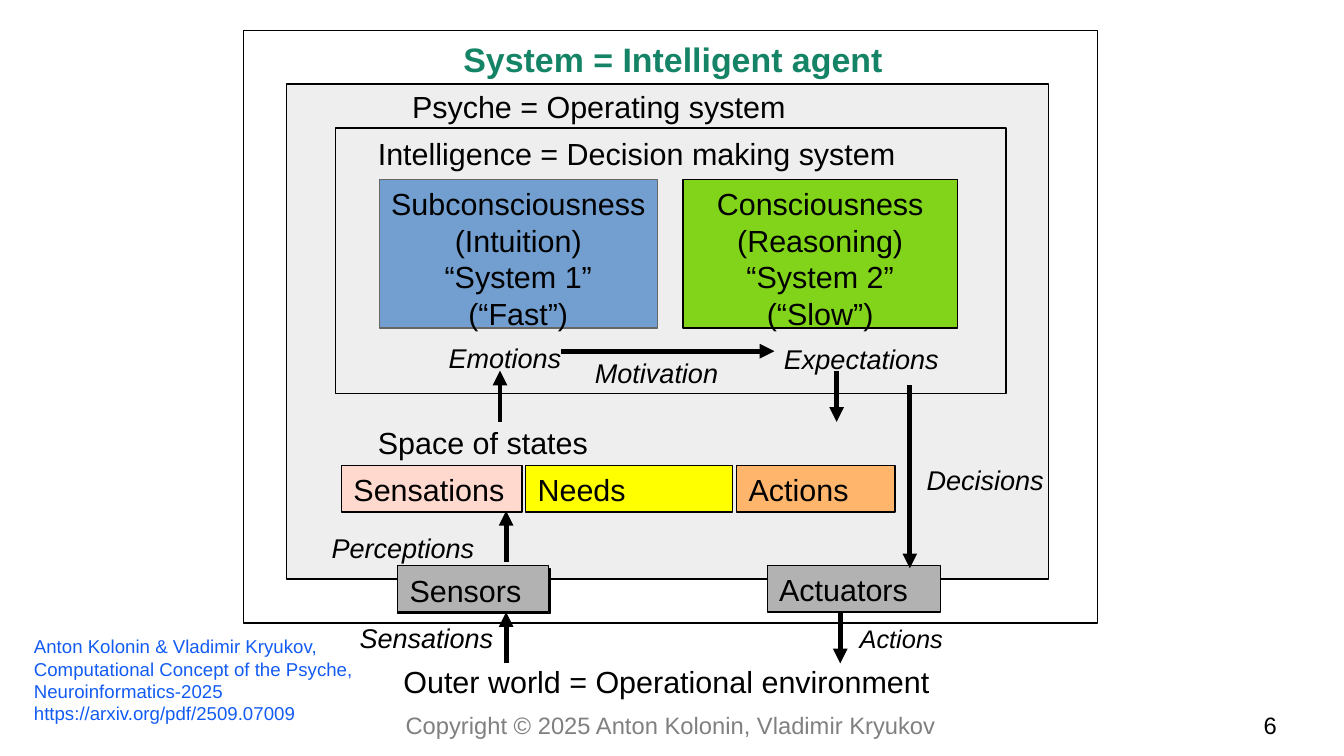
"""Build the slide that shows an intelligent agent as nested systems."""
import pptx
import pptx.dml.color
import pptx.enum.shapes
import pptx.enum.text
import pptx.oxml
import pptx.oxml.ns
import pptx.util

Inches = pptx.util.Inches
Pt = pptx.util.Pt
RGBColor = pptx.dml.color.RGBColor
ALIGN = pptx.enum.text.PP_ALIGN
ANCHOR = pptx.enum.text.MSO_ANCHOR

BLACK = RGBColor(0x00, 0x00, 0x00)
GREEN_TITLE = RGBColor(0x15, 0x84, 0x66)
LINK_BLUE = RGBColor(0x12, 0x5B, 0xF3)
FOOTER_GRAY = RGBColor(0x80, 0x80, 0x80)
EDGE_GRAY = RGBColor(0x66, 0x66, 0x66)
PALE_GRAY = RGBColor(0xEE, 0xEE, 0xEE)
GRAY = RGBColor(0xB2, 0xB2, 0xB2)
BLUE = RGBColor(0x72, 0x9F, 0xCF)
GREEN = RGBColor(0x81, 0xD4, 0x1A)
PINK = RGBColor(0xFF, 0xD8, 0xCE)
YELLOW = RGBColor(0xFF, 0xFF, 0x00)
ORANGE = RGBColor(0xFF, 0xB6, 0x6C)

FONT = "Arial"
STATE_TOP, DEVICE_TOP, ROW_HEIGHT = 3.82, 4.64, 0.38
MIND_TOP, MIND_HEIGHT = 1.47, 1.22
FOOTER_TOP, FOOTER_HEIGHT = 5.83, 0.25

FRAMES = [
    (2, 0.25, 7, 4.86, None),
    (2.35, 0.69, 6.25, 4.06, PALE_GRAY),
    (2.75, 1.05, 5.5, 2.18, None),
    (3.26, 4.66, 1.25, 0.37, None),
]
MINDS = [
    (3.11, 2.28, BLUE, EDGE_GRAY,
     "Subconsciousness\n(Intuition)\n“System 1”\n(“Fast”)"),
    (5.6, 2.25, GREEN, BLACK,
     "Consciousness\n(Reasoning)\n“System 2”\n(“Slow”)"),
]
BLOCKS = [
    (2.8, STATE_TOP, 1.48, PINK, "Sensations", ANCHOR.MIDDLE),
    (4.31, STATE_TOP, 1.7, YELLOW, "Needs", ANCHOR.MIDDLE),
    (6.04, STATE_TOP, 1.3, ORANGE, "Actions", ANCHOR.MIDDLE),
    (3.26, DEVICE_TOP, 1.24, GRAY, "Sensors", ANCHOR.TOP),
    (6.29, DEVICE_TOP, 1.42, GRAY, "Actuators", ANCHOR.MIDDLE),
]
HEADINGS = [
    (3.28, 0.67, 4.19, "Psyche = Operating system"),
    (3, 1.06, 4.96, "Intelligence = Decision making system"),
    (3, 3.43, 4.25, "Space of states"),
    (3.21, 5.39, 4.54, "Outer world = Operational environment"),
]
FLOW_LABELS = [
    (3.58, 2.75, 1.12, 16, "Emotions"),
    (4.78, 2.87, 1.42, 16, "Motivation"),
    (6.33, 2.76, 1.47, 16, "Expectations"),
    (7.5, 3.75, 1.16, 16, "Decisions"),
    (2.62, 4.31, 1.49, 16, "Perceptions"),
    (2.85, 5.05, 1.5, 16, "Sensations"),
    (6.95, 5.06, 1.19, 15, "Actions"),
]
ARROWS = [
    (4.6, 2.88, 6.35, 2.88),
    (4.1, 3.46, 4.1, 3.04),
    (6.86, 3.04, 6.86, 3.46),
    (7.46, 3.16, 7.46, 4.66),
    (4.15, 4.61, 4.15, 4.19),
    (4.15, 5.44, 4.15, 5.02),
    (6.89, 5.02, 6.89, 5.44),
]
CITATION = ("Anton Kolonin & Vladimir Kryukov,\n"
            "Computational Concept of the Psyche,\n"
            "Neuroinformatics-2025\n"
            "https://arxiv.org/pdf/2509.07009")


def write(shape, text, size, color=BLACK, align=ALIGN.LEFT, anchor=ANCHOR.TOP,
          bold=False, italic=False, inset=(0.1, 0.05)):
    """Fill a shape with text in one style."""
    frame = shape.text_frame
    frame.text = text
    frame.word_wrap = True
    frame.auto_size = pptx.enum.text.MSO_AUTO_SIZE.NONE
    frame.vertical_anchor = anchor
    frame.margin_left = Inches(inset[0] if align == ALIGN.LEFT else 0)
    frame.margin_right = 0
    frame.margin_top = frame.margin_bottom = Inches(inset[1])
    for para in frame.paragraphs:
        para.alignment = align
        for span in para.runs:
            span.font.name = FONT
            span.font.size = Pt(size)
            span.font.color.rgb = color
            span.font.bold = bold
            span.font.italic = italic


def add_box(page, left, top, width, height, fill, edge=BLACK):
    """Add a rectangle with a hairline edge and an optional fill."""
    box = page.shapes.add_shape(
        pptx.enum.shapes.MSO_SHAPE.RECTANGLE,
        Inches(left), Inches(top), Inches(width), Inches(height))
    box.shadow.inherit = False
    if fill is None:
        box.fill.background()
    else:
        box.fill.solid()
        box.fill.fore_color.rgb = fill
    box.line.color.rgb = edge
    box.line.width = Pt(0)
    return box


def add_label(page, left, top, width, height, text, size, **style):
    """Add a text box without fill or edge."""
    box = page.shapes.add_textbox(
        Inches(left), Inches(top), Inches(width), Inches(height))
    write(box, text, size, **style)


def add_arrow(page, start_x, start_y, end_x, end_y):
    """Add a thick straight arrow."""
    arrow = page.shapes.add_connector(
        pptx.enum.shapes.MSO_CONNECTOR.STRAIGHT,
        Inches(start_x), Inches(start_y), Inches(end_x), Inches(end_y))
    arrow.line.color.rgb = BLACK
    arrow.line.width = Pt(2.89)
    namespace = pptx.oxml.ns.nsdecls("a")
    arrow.line._get_or_add_ln().append(
        pptx.oxml.parse_xml(f'<a:tailEnd {namespace} type="triangle"/>'))
    arrow._element.spPr.append(
        pptx.oxml.parse_xml(f"<a:effectLst {namespace}/>"))


def set_title(page, text):
    """Place and format the title placeholder."""
    title = page.shapes.title
    title.left, title.top = Inches(2.91), Inches(0.28)
    title.width, title.height = Inches(5.22), Inches(0.41)
    write(title, text, 20, GREEN_TITLE, ALIGN.CENTER, ANCHOR.MIDDLE, bold=True)


def main():
    """Build and save the deck."""
    deck = pptx.Presentation()
    deck.slide_width, deck.slide_height = Inches(11.02), Inches(6.2)
    page = deck.slides.add_slide(deck.slide_layouts.get_by_name("Title Only"))
    set_title(page, "System = Intelligent agent")
    for frame in FRAMES:
        add_box(page, *frame)
    for left, width, fill, edge, text in MINDS:
        box = add_box(page, left, MIND_TOP, width, MIND_HEIGHT, fill, edge)
        write(box, text, 18, align=ALIGN.CENTER)
    for left, top, width, fill, text, anchor in BLOCKS:
        box = add_box(page, left, top, width, ROW_HEIGHT, fill)
        write(box, text, 18, anchor=anchor)
    for left, top, width, text in HEADINGS:
        add_label(page, left, top, width, ROW_HEIGHT, text, 18)
    for left, top, width, size, text in FLOW_LABELS:
        add_label(page, left, top, width, 0.35, text, size, italic=True)
    for arrow in ARROWS:
        add_arrow(page, *arrow)
    add_label(page, 0.18, 5.16, 2.84, 0.78, CITATION, 11, color=LINK_BLUE)
    add_label(page, 2, FOOTER_TOP, 7, FOOTER_HEIGHT,
              "Copyright © 2025 Anton Kolonin, Vladimir Kryukov", 14,
              color=FOOTER_GRAY, align=ALIGN.CENTER, inset=(0, 0))
    add_label(page, 9.25, FOOTER_TOP, 1.22, FOOTER_HEIGHT, "6", 14,
              align=ALIGN.RIGHT, inset=(0, 0))
    deck.save("out.pptx")


if __name__ == "__main__":
    main()
